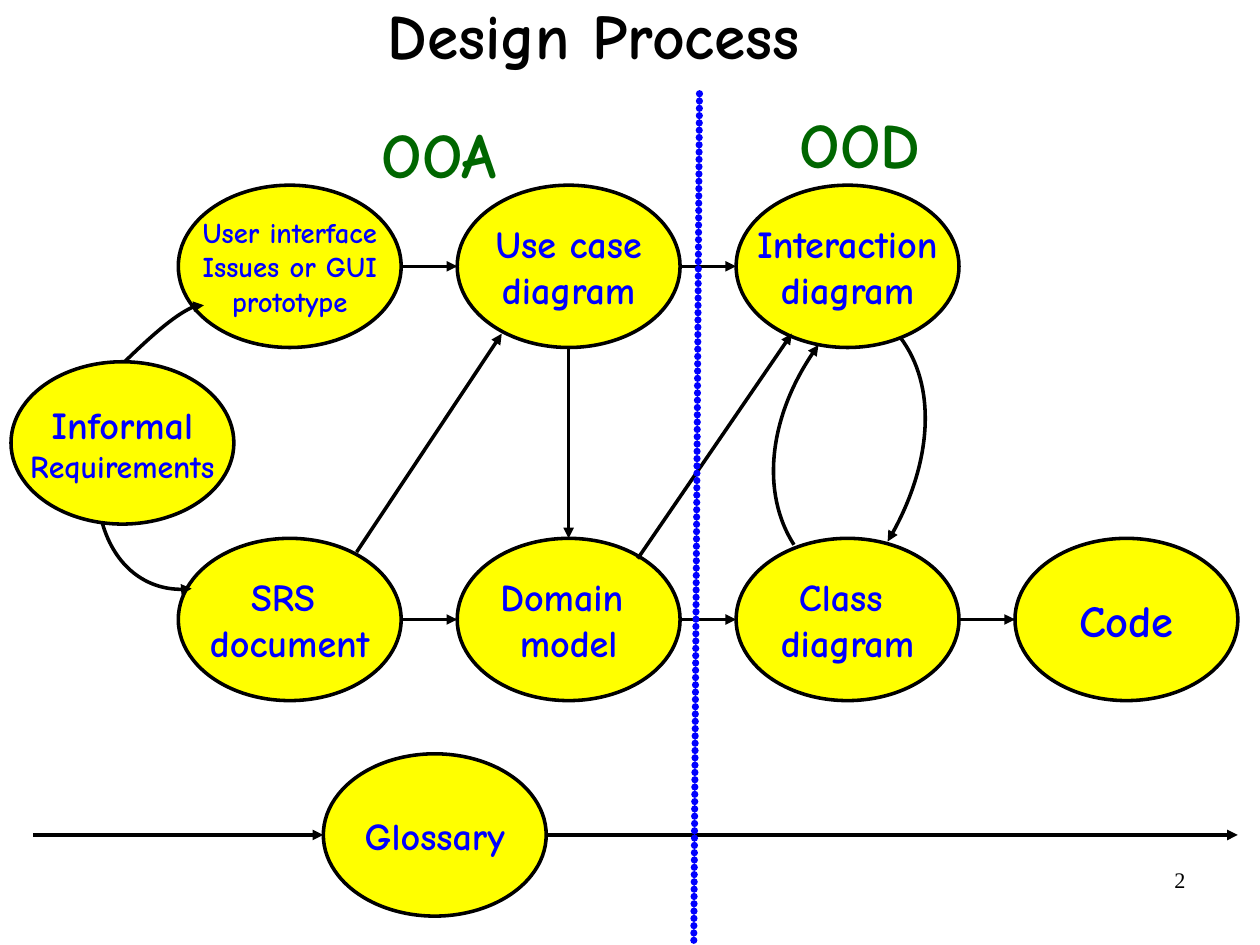
"""Build the design process slide with its OOA and OOD halves."""
from dataclasses import dataclass

from lxml import etree
from pptx import Presentation, util as u
from pptx.dml.color import RGBColor
from pptx.enum import shapes, text
from pptx.oxml.ns import qn

Point = tuple[float, float]


@dataclass(frozen=True)
class Theme:
    """Colours, fonts and sizes in points."""
    ink: str = "000000"
    paper: str = "FFFFFF"
    node: str = "FFFF00"
    label: str = "0000FF"
    phase: str = "006600"
    font: str = "Comic Neue"
    number_font: str = "Times New Roman"
    heading: int = 40
    code: int = 28
    body: int = 24
    small: int = 20
    tiny: int = 18
    number: int = 14
    stroke: float = 2.25
    divider: float = 4.5


@dataclass(frozen=True)
class Grid:
    """Node grid in inches."""
    left: float = 1.56
    top: float = 1.62
    col: float = 2.44
    row: float = 3.09
    width: float = 1.95
    height: float = 1.42


@dataclass(frozen=True)
class Node:
    """An ellipse at a grid column and row, with sized lines of text."""
    col: float
    row: float
    lines: tuple[tuple[str, int], ...]

    def anchor(self, fx: float, fy: float) -> Point:
        """Return a point measured from the centre in half widths and half heights."""
        return (G.left + self.col * G.col + (1 + fx) * G.width / 2,
                G.top + self.row * G.row + (1 + fy) * G.height / 2)


@dataclass(frozen=True)
class Link:
    """An arrow whose first half of anchors is on one node and second half on another."""
    start: str
    end: str
    anchors: tuple[Point, ...] = ((1, 0), (-1, 0))

    def points(self) -> list[Point]:
        """Return the anchors as slide positions."""
        half = len(self.anchors) // 2
        return ([NODES[self.start].anchor(*a) for a in self.anchors[:half]]
                + [NODES[self.end].anchor(*a) for a in self.anchors[half:]])


T = Theme()
G = Grid()
WIDTH, HEIGHT = u.Cm(28), u.Cm(21)

NODES = {
    "informal": Node(-0.6, 0.5, (("Informal", T.body), ("Requirements", T.small))),
    "interface": Node(0, 0, (("User interface", T.tiny), ("Issues or GUI", T.tiny),
                             ("prototype", T.tiny))),
    "glossary": Node(0.52, 1.61, (("Glossary", T.body),)),
    "interaction": Node(2, 0, (("Interaction", T.body), ("diagram", T.body))),
    "use case": Node(1, 0, (("Use case", T.body), ("diagram", T.body))),
    "srs": Node(0, 1, (("SRS ", T.body), ("document", T.body))),
    "domain": Node(1, 1, (("Domain ", T.body), ("model", T.body))),
    "class": Node(2, 1, (("Class ", T.body), ("diagram", T.body))),
    "code": Node(3, 1, (("Code", T.code),)),
}

LINKS = [
    Link("srs", "domain"),
    Link("domain", "class"),
    Link("class", "code"),
    Link("interface", "use case"),
    Link("use case", "interaction"),
    Link("use case", "domain", ((0, 1), (0, -1))),
    Link("srs", "use case", ((0.6, -0.83), (-0.6, 0.83))),
    Link("domain", "interaction", ((0.62, -0.75), (-0.5, 0.83))),
    Link("interaction", "class", ((0.47, 0.87), (0.81, 1.48), (0.75, -1.85), (0.36, -0.96))),
    Link("class", "interaction", ((-0.48, -0.92), (-0.78, -1.56), (-0.7, 1.79), (-0.26, 0.97))),
    Link("informal", "srs", ((-0.18, 0.99), (-0.07, 1.52), (-1.24, -0.31), (-0.88, -0.38))),
    Link("informal", "interface", ((0.02, -1), (0.38, -1.48), (-0.82, 0.41), (-0.77, 0.48))),
]


def rgb(color: str) -> RGBColor:
    """Return a colour object for a hex string."""
    return RGBColor.from_string(color)


def write(tf, lines, color: str, align, *, font: str = T.font, bold: bool = True) -> None:
    """Fill a text frame with sized lines and format them."""
    tf.text = "\n".join(line for line, _ in lines)
    for p, (_, size) in zip(tf.paragraphs, lines):
        p.alignment = align
        for r in p.runs:
            r.font.name, r.font.size, r.font.bold = font, u.Pt(size), bold
            r.font.color.rgb = rgb(color)


def margins(tf, x: float, y: float) -> None:
    """Set the side and top-bottom insets in inches."""
    tf.margin_left = tf.margin_right = u.Inches(x)
    tf.margin_top = tf.margin_bottom = u.Inches(y)


def draw_title(slide) -> None:
    """Place and format the title."""
    sp = slide.shapes.title
    sp.left, sp.top, sp.width, sp.height = map(u.Inches, (0.51, -0.28, 9.37, 1.22))
    tf = sp.text_frame
    write(tf, [("Design Process", T.heading)], T.ink, text.PP_ALIGN.CENTER)
    margins(tf, 0.02, 0.06)
    tf.auto_size = text.MSO_AUTO_SIZE.NONE
    tf.vertical_anchor = text.MSO_ANCHOR.MIDDLE
    tf.paragraphs[0].line_spacing = 0.94
    tf.paragraphs[0].space_before = u.Pt(13.6)


def draw_label(slide, label: str, box, size: int, color: str, align, **style) -> None:
    """Add a plain text box."""
    sp = slide.shapes.add_textbox(*map(u.Inches, box))
    sp.text_frame.word_wrap = True
    margins(sp.text_frame, 0.1, 0.05)
    write(sp.text_frame, [(label, size)], color, align, **style)


def draw_phase(slide, label: str, x: float, y: float) -> None:
    """Add the heading of one half of the process."""
    draw_label(slide, label, (x, y, 1.71, 0.77), T.heading, T.phase, text.PP_ALIGN.LEFT)
    slide.shapes[-1].text_frame.paragraphs[0].space_before = u.Pt(15)


def draw_node(slide, node: Node) -> None:
    """Add an ellipse with its text."""
    x, y = node.anchor(-1, -1)
    sp = slide.shapes.add_shape(shapes.MSO_SHAPE.OVAL,
                                *map(u.Inches, (x, y, G.width, G.height)))
    sp.shadow.inherit = False
    sp.fill.solid()
    sp.fill.fore_color.rgb = rgb(T.node)
    sp.line.color.rgb, sp.line.width = rgb(T.ink), u.Pt(T.stroke)
    tf = sp.text_frame
    margins(tf, 0, 0)
    tf.word_wrap = False
    tf.vertical_anchor = text.MSO_ANCHOR.MIDDLE
    write(tf, node.lines, T.label, text.PP_ALIGN.CENTER)


def draw_line(slide, start: Point, end: Point, color: str = T.ink, width: float = T.stroke):
    """Add a straight line and return it."""
    c = slide.shapes.add_connector(shapes.MSO_CONNECTOR.STRAIGHT,
                                   *map(u.Inches, (*start, *end)))
    c.line.color.rgb, c.line.width = rgb(color), u.Pt(width)
    etree.SubElement(c._element.spPr, qn("a:effectLst"))
    return c


def draw_curve(slide, points: list[Point]):
    """Add a cubic curve through a start, two controls and an end."""
    first, *rest = [(u.Inches(x), u.Inches(y)) for x, y in points]
    builder = slide.shapes.build_freeform(*first)
    sp = builder.add_line_segments(rest, close=False).convert_to_shape()
    segments = list(sp._element.iter(qn("a:lnTo")))
    curve = etree.SubElement(segments[0].getparent(), qn("a:cubicBezTo"))
    for segment in segments:
        curve.append(segment[0])
        segment.getparent().remove(segment)
    sp.shadow.inherit = False
    sp.fill.background()
    sp.line.color.rgb, sp.line.width = rgb(T.ink), u.Pt(T.stroke)
    return sp


def draw_arrow(slide, points: list[Point]) -> None:
    """Add a straight or curved arrow."""
    sp = draw_line(slide, *points) if len(points) == 2 else draw_curve(slide, points)
    etree.SubElement(sp._element.spPr.find(qn("a:ln")), qn("a:tailEnd"), type="triangle")


def draw_divider(slide) -> None:
    """Add the line of touching round dots between the two halves."""
    c = draw_line(slide, (6.12, 0.82), (6.07, HEIGHT.inches), T.label, T.divider)
    ln = c._element.spPr.find(qn("a:ln"))
    ln.set("cap", "rnd")
    dash = etree.SubElement(ln, qn("a:custDash"))
    etree.SubElement(dash, qn("a:ds"), d="100000", sp="2000")


def main() -> None:
    """Build and save the slide."""
    prs = Presentation()
    prs.slide_width, prs.slide_height = WIDTH, HEIGHT
    slide = prs.slides.add_slide(prs.slide_layouts.get_by_name("Title Only"))
    slide.background.fill.solid()
    slide.background.fill.fore_color.rgb = rgb(T.paper)
    draw_title(slide)
    draw_label(slide, "2", (7.9, 7.53, 2.57, 0.57), T.number, T.ink, text.PP_ALIGN.RIGHT,
               font=T.number_font, bold=False)
    draw_phase(slide, "OOA", 3.24, 0.96)
    draw_phase(slide, "OOD", 6.9, 0.87)
    for node in NODES.values():
        draw_node(slide, node)
    for link in LINKS:
        draw_arrow(slide, link.points())
    entry, leave = (NODES["glossary"].anchor(side, 0) for side in (-1, 1))
    draw_arrow(slide, [(0.29, entry[1]), entry])
    draw_arrow(slide, [leave, (NODES["code"].anchor(1, 0)[0], leave[1])])
    draw_divider(slide)
    prs.save("out.pptx")


if __name__ == "__main__":
    main()
